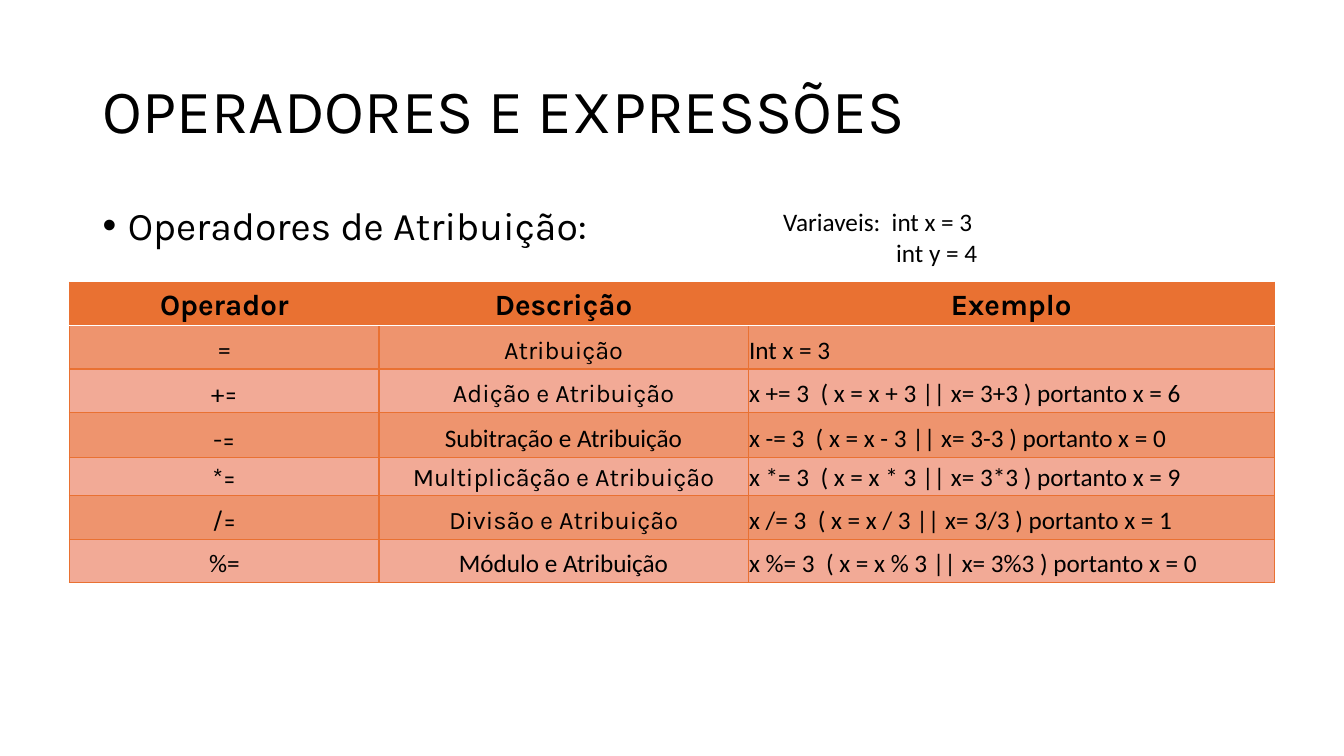
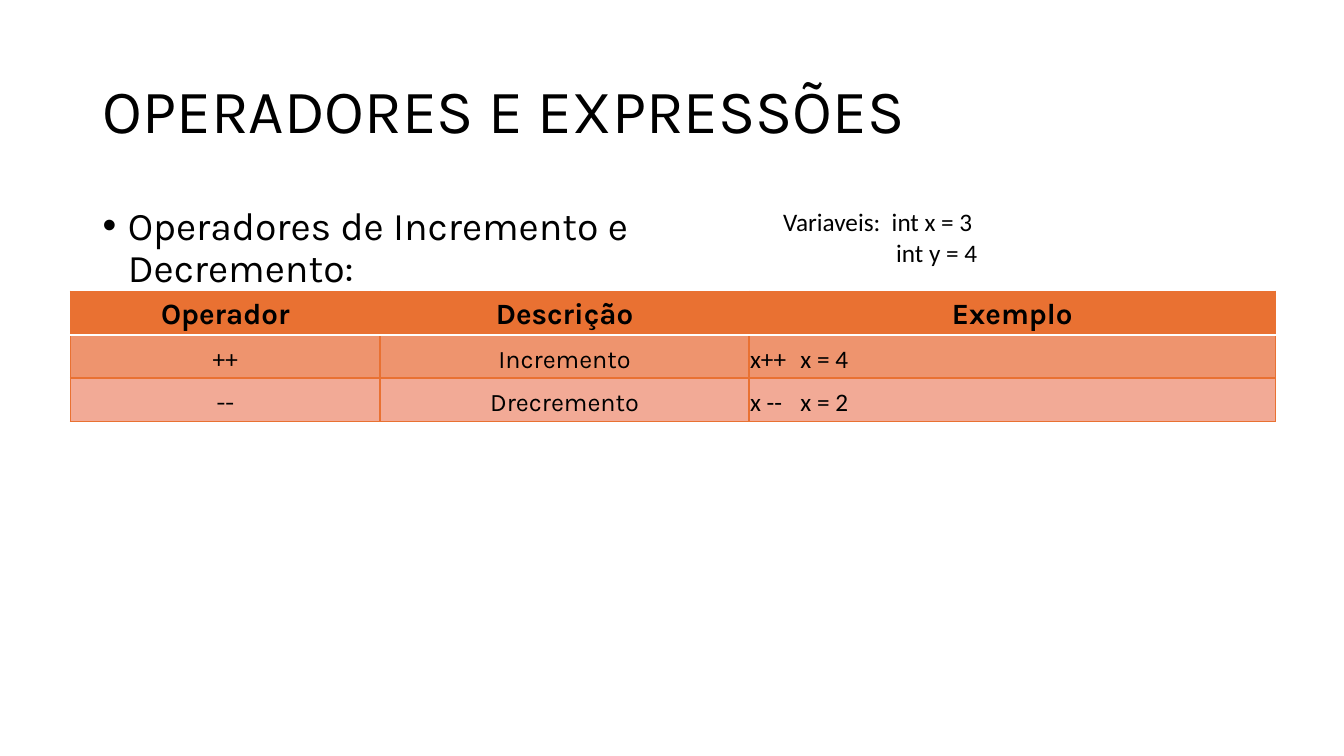
from dataclasses import dataclass

from lxml.etree import SubElement
from pptx import Presentation
from pptx.dml.color import RGBColor
from pptx.enum.text import MSO_ANCHOR, PP_ALIGN
from pptx.oxml.ns import qn
from pptx.slide import Slide
from pptx.table import _Cell
from pptx.text.text import TextFrame, _Paragraph
from pptx.util import Emu, Pt

EMU_PER_PX = 9144  # 100 px to the inch


@dataclass(frozen=True)
class Theme:
    text: str = "000000"
    accent: str = "E97132"
    rule: str = "FFFFFF"
    bands: tuple[str, str] = ("EE946E", "F2AA96")
    display: str = "Karla"
    plain: str = "Calibri"
    title_size: int = 44
    bullet_size: int = 28
    header_size: int = 21
    body_size: int = 18
    border: float = 1
    header_rule: float = 1.5
    tight: float = 0.9


THEME = Theme()


@dataclass(frozen=True)
class OperatorRow:
    operator: str
    description: str
    example: str
    operator_font: str = THEME.display
    description_font: str = THEME.display
    height: int = 43


@dataclass(frozen=True)
class OperatorSlide:
    topic: str
    table_left: int
    table_top: int
    rows: tuple[OperatorRow, ...]


TITLE = "OPERADORES E EXPRESSÕES"
HEADERS = ("Operador", "Descrição", "Exemplo")
HEADER_HEIGHT = 43
COLUMN_WIDTHS = (307, 366, 522)
EXAMPLE_TAB = 76

SLIDES = (
    OperatorSlide("Operadores de Atribuição:", 69, 280, (
        OperatorRow("=", "Atribuição", "Int x = 3", operator_font=THEME.plain),
        OperatorRow("+=", "Adição e Atribuição",
                    "x += 3  ( x = x + 3 || x= 3+3 ) portanto x = 6"),
        OperatorRow("-=", "Subitração e Atribuição",
                    "x -= 3  ( x = x - 3 || x= 3-3 ) portanto x = 0",
                    description_font=THEME.plain, height=45),
        OperatorRow("*=", "Multiplicãção e Atribuição",
                    "x *= 3  ( x = x * 3 || x= 3*3 ) portanto x = 9", height=38),
        OperatorRow("/=", "Divisão e Atribuição",
                    "x /= 3  ( x = x / 3 || x= 3/3 ) portanto x = 1"),
        OperatorRow("%=", "Módulo e Atribuição",
                    "x %= 3  ( x = x % 3 || x= 3%3 ) portanto x = 0",
                    operator_font=THEME.plain, description_font=THEME.plain),
    )),
    OperatorSlide("Operadores de Incremento e\nDecremento:", 70, 289, (
        OperatorRow("++", "Incremento", "x++\tx = 4", operator_font=THEME.plain),
        OperatorRow("--", "Drecremento", "x --\tx = 2"),
    )),
)


def px(length: int) -> Emu:
    return Emu(length * EMU_PER_PX)


def write_text(paragraph: _Paragraph, text: str, *, font: str = THEME.display,
               size: int = THEME.body_size, bold: bool = False,
               align: PP_ALIGN = PP_ALIGN.LEFT, line_spacing: float = 1.0,
               margin: int = 0, indent: int = 0, bullet: str = "",
               tab: int = 0) -> None:
    """Fill one paragraph; a newline in the text becomes a line break."""
    properties = paragraph._p.get_or_add_pPr()
    properties.set("marL", str(px(margin)))
    properties.set("indent", str(px(indent)))
    if bullet:
        SubElement(properties, qn("a:buFont")).set("typeface", "Arial")
        SubElement(properties, qn("a:buChar")).set("char", bullet)
    if tab:
        stop = SubElement(SubElement(properties, qn("a:tabLst")), qn("a:tab"))
        stop.set("pos", str(px(tab)))
        stop.set("algn", "l")
    paragraph.alignment = align
    paragraph.line_spacing = line_spacing
    for number, line in enumerate(text.split("\n")):
        if number:
            paragraph.add_line_break()
        run = paragraph.add_run()
        run.text = line
        run.font.name = font
        run.font.size = Pt(size)
        run.font.bold = bold
        run.font.color.rgb = RGBColor.from_string(THEME.text)


def add_text_frame(slide: Slide, left: int, top: int, width: int, height: int,
                   anchor: MSO_ANCHOR = MSO_ANCHOR.TOP) -> TextFrame:
    shape = slide.shapes.add_textbox(px(left), px(top), px(width), px(height))
    shape.text_frame.word_wrap = True
    shape.text_frame.vertical_anchor = anchor
    return shape.text_frame


def add_border(cell: _Cell, side: str, color: str, width: float) -> None:
    line = SubElement(cell._tc.get_or_add_tcPr(), qn(f"a:ln{side}"))
    line.set("w", str(Pt(width)))
    fill = SubElement(line, qn("a:solidFill"))
    SubElement(fill, qn("a:srgbClr")).set("val", color)


def style_cell(cell: _Cell, row: int) -> None:
    """Set margins, borders and band fill; row 0 is the header."""
    cell.margin_left = cell.margin_top = cell.margin_right = px(1)
    cell.margin_bottom = px(3)
    cell.vertical_anchor = MSO_ANCHOR.BOTTOM
    ruled_side = {0: "B", 1: "T"}.get(row)
    for side in "LRTB":
        if side == ruled_side:
            add_border(cell, side, THEME.rule, THEME.header_rule)
        else:
            add_border(cell, side, THEME.accent, THEME.border)
    color = THEME.bands[(row - 1) % 2] if row else THEME.accent
    cell.fill.solid()
    cell.fill.fore_color.rgb = RGBColor.from_string(color)


def add_operator_table(slide: Slide, content: OperatorSlide) -> None:
    heights = [HEADER_HEIGHT] + [row.height for row in content.rows]
    table = slide.shapes.add_table(
        len(heights), len(HEADERS), px(content.table_left), px(content.table_top),
        px(sum(COLUMN_WIDTHS)), px(sum(heights))).table
    table.horz_banding = False
    for column, width in zip(table.columns, COLUMN_WIDTHS):
        column.width = px(width)
    for row_number, height in enumerate(heights):
        table.rows[row_number].height = px(height)
        for cell in table.rows[row_number].cells:
            style_cell(cell, row_number)

    # Header texts
    for column_number, header in enumerate(HEADERS):
        write_text(table.cell(0, column_number).text_frame.paragraphs[0], header,
                   size=THEME.header_size, bold=True, align=PP_ALIGN.CENTER)

    # Operator texts
    for row_number, row in enumerate(content.rows, start=1):
        operator, description, example = (
            cell.text_frame.paragraphs[0] for cell in table.rows[row_number].cells)
        write_text(operator, row.operator, font=row.operator_font,
                   align=PP_ALIGN.CENTER)
        write_text(description, row.description, font=row.description_font,
                   align=PP_ALIGN.CENTER)
        write_text(example, row.example, font=THEME.plain,
                   tab=EXAMPLE_TAB if "\t" in row.example else 0)


def add_operator_slide(presentation: Presentation, content: OperatorSlide) -> None:
    slide = presentation.slides.add_slide(presentation.slide_layouts[6])

    # Title
    title = add_text_frame(slide, 92, 40, 1150, 145, MSO_ANCHOR.MIDDLE)
    write_text(title.paragraphs[0], TITLE, size=THEME.title_size,
               line_spacing=THEME.tight)

    # Topic bullet
    topic = add_text_frame(slide, 92, 200, 1150, 476)
    write_text(topic.paragraphs[0], content.topic, size=THEME.bullet_size,
               line_spacing=THEME.tight, margin=25, indent=-25, bullet="•")

    add_operator_table(slide, content)

    # Variables used by the examples
    variables = add_text_frame(slide, 767, 200, 220, 71)
    write_text(variables.paragraphs[0], "Variaveis:  int x = 3", font=THEME.plain)
    write_text(variables.add_paragraph(), "int y = 4", font=THEME.plain, margin=112)


def main() -> None:
    presentation = Presentation()
    presentation.slide_width = px(1333)
    presentation.slide_height = px(750)
    for content in SLIDES:
        add_operator_slide(presentation, content)
    presentation.save("out.pptx")


if __name__ == "__main__":
    main()
